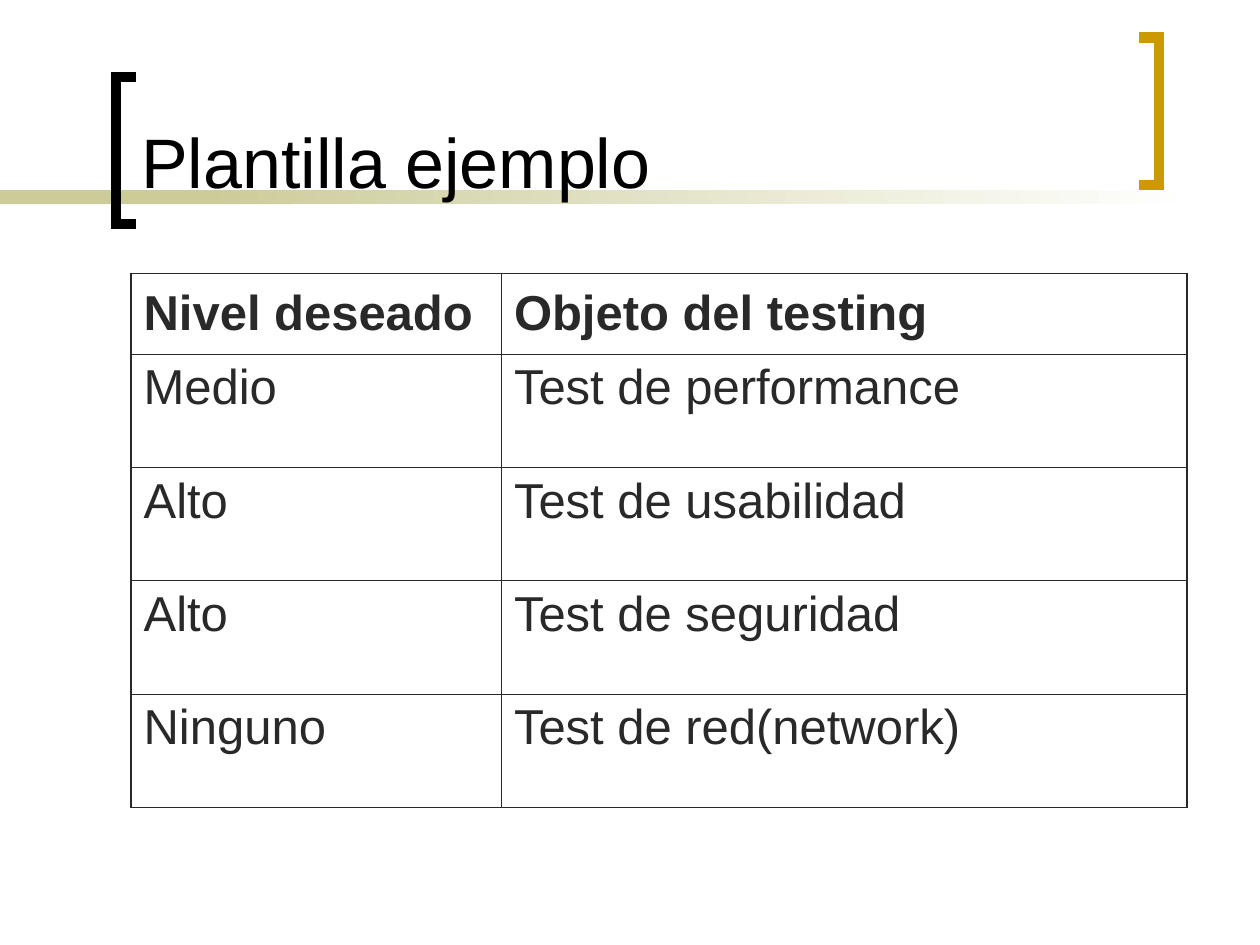
from dataclasses import dataclass

from lxml import etree
from pptx import Presentation
from pptx.dml.color import RGBColor
from pptx.enum.shapes import MSO_SHAPE
from pptx.enum.text import MSO_ANCHOR, PP_ALIGN
from pptx.oxml.ns import qn
from pptx.util import Inches, Pt

RECTANGLE = MSO_SHAPE.RECTANGLE
TOP, MIDDLE, BOTTOM = MSO_ANCHOR.TOP, MSO_ANCHOR.MIDDLE, MSO_ANCHOR.BOTTOM
LEFT = PP_ALIGN.LEFT


@dataclass(frozen=True)
class Theme:
    font: str = "Arial"
    black: RGBColor = RGBColor(0, 0, 0)
    white: RGBColor = RGBColor(255, 255, 255)
    gold: RGBColor = RGBColor.from_string("CC9900")
    band: RGBColor = RGBColor.from_string("CCCC99")
    ink: RGBColor = RGBColor.from_string("292929")
    title_size: Pt = Pt(40)
    table_size: Pt = Pt(28)
    bracket_line: Pt = Pt(6)
    outer_line: Pt = Pt(1.08)
    inner_line: Pt = Pt(0.45)


theme = Theme()


def write_text(frame, text, color, **formats):
    para = frame.paragraphs[0]
    para.alignment = LEFT
    span = para.add_run()
    span.text = text
    span.font.color.rgb = color
    for name, value in {"name": theme.font, **formats}.items():
        setattr(span.font, name, value)
    return para


def add_border(cell, side, width):
    line = etree.SubElement(cell._tc.get_or_add_tcPr(), qn(f"a:{side}"), w=str(width))
    fill = etree.SubElement(line, qn("a:solidFill"))
    etree.SubElement(fill, qn("a:srgbClr"), val=str(theme.ink))


deck = Presentation()
deck.slide_width, deck.slide_height = Inches(10), Inches(7.5)
page = deck.slides.add_slide(deck.slide_layouts[5])

for left, width in ((0, 2.33), (1.58, 7.92)):
    band = page.shapes.add_shape(
        RECTANGLE, Inches(left), Inches(1.51), Inches(width), Inches(0.11)
    )
    band.shadow.inherit = False
    band.line.fill.background()
    if left == 0:
        band.fill.solid()
        band.fill.fore_color.rgb = theme.band
    else:
        band.fill.gradient()
        band.fill.gradient_angle = 180
        for stop, color in zip(band.fill.gradient_stops, (theme.white, theme.band)):
            stop.color.rgb = color

for tip, spine, top, color in (
    (1.08, 0.92, 0.61, theme.black),
    (9.04, 9.2, 0.3, theme.gold),
):
    bottom = top + 1.17
    points = [(tip, top), (spine, top), (spine, bottom), (tip, bottom)]
    corners = [(Inches(x), Inches(y)) for x, y in points]
    builder = page.shapes.build_freeform(*corners[0])
    builder.add_line_segments(corners[1:], close=False)
    bracket = builder.convert_to_shape()
    bracket.shadow.inherit = False
    bracket.fill.background()
    bracket.line.color.rgb = color
    bracket.line.width = theme.bracket_line
    outline = bracket.element.spPr.find(qn("a:ln"))
    etree.SubElement(outline, qn("a:miter"), lim="800000")

title = page.shapes.title
title.left, title.top = Inches(1.02), Inches(0.11)
title.width, title.height = Inches(7.83), Inches(1.55)
title.text_frame.vertical_anchor = BOTTOM
write_text(title.text_frame, "Plantilla ejemplo", theme.black, size=theme.title_size)
title.element.getparent().append(title.element)

rows = [
    ("Nivel deseado", "Objeto del testing"),
    ("Medio", "Test de performance"),
    ("Alto", "Test de usabilidad"),
    ("Alto", "Test de seguridad"),
    ("Ninguno", "Test de red(network)"),
]
last_row, last_column = len(rows) - 1, len(rows[0]) - 1
table = page.shapes.add_table(
    len(rows), len(rows[0]), Inches(1.04), Inches(2.17), Inches(8.38), Inches(4.24)
).table
table.horz_banding = False
for column, width in zip(table.columns, (2.94, 5.44)):
    column.width = Inches(width)

for r, texts in enumerate(rows):
    header = r == 0
    table.rows[r].height = Inches(0.64 if header else 0.9)
    for c, text in enumerate(texts):
        cell = table.cell(r, c)
        cell.vertical_anchor = MIDDLE if header else TOP
        para = write_text(
            cell.text_frame, text, theme.ink, size=theme.table_size, bold=header
        )
        para.space_before = Pt(7)
        outer_sides = {
            "lnL": c == 0,
            "lnR": c == last_column,
            "lnT": header,
            "lnB": r == last_row,
        }
        for side, outer in outer_sides.items():
            add_border(cell, side, theme.outer_line if outer else theme.inner_line)
        cell.fill.background()

deck.save("out.pptx")
